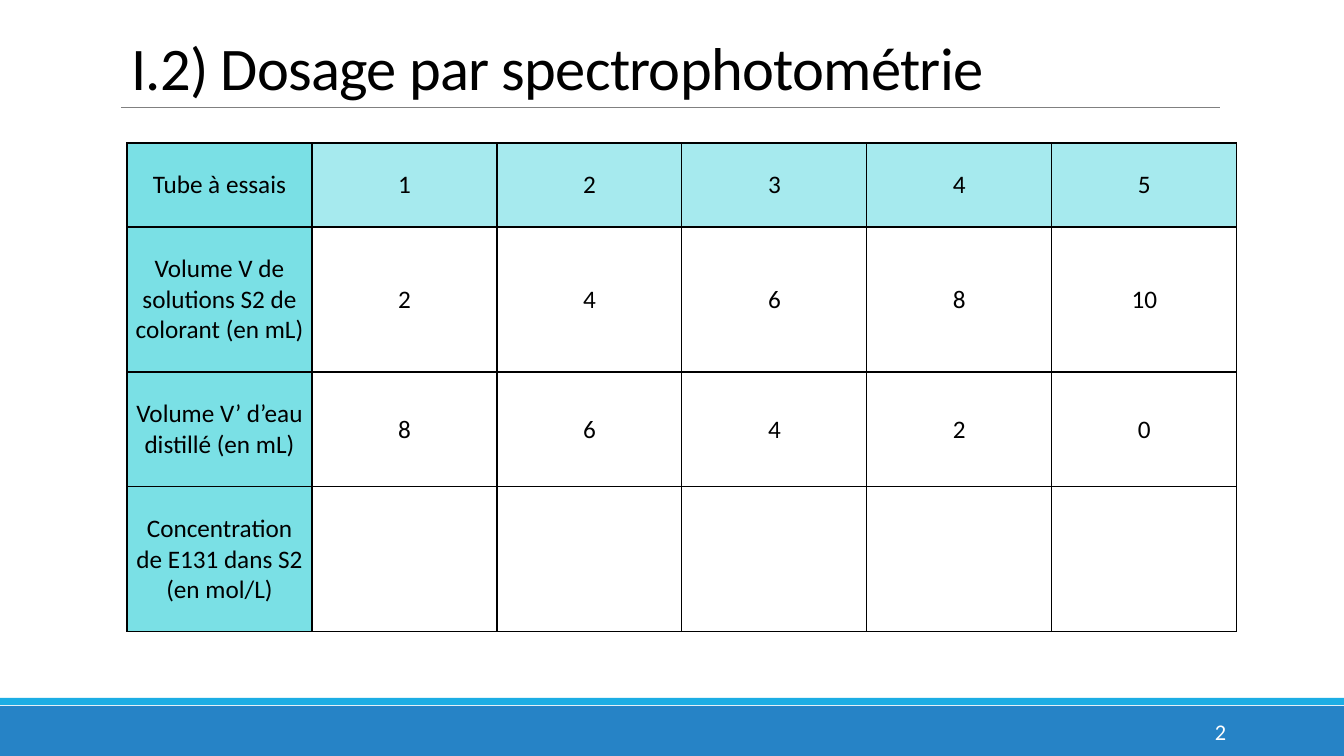
import pptx
import pptx.util
import pptx.dml.color
import pptx.enum.shapes
import pptx.enum.text
import pptx.oxml.ns
from lxml import etree

BLACK = pptx.dml.color.RGBColor(0x00, 0x00, 0x00)
WHITE = pptx.dml.color.RGBColor(0xFF, 0xFF, 0xFF)
GREY = pptx.dml.color.RGBColor(0x80, 0x80, 0x80)
FOOTER_BLUE = pptx.dml.color.RGBColor(0x26, 0x83, 0xC6)
FOOTER_CYAN = pptx.dml.color.RGBColor(0x1C, 0xAD, 0xE4)
LABEL_TEAL = pptx.dml.color.RGBColor(0x7A, 0xE0, 0xE5)
TUBE_TEAL = pptx.dml.color.RGBColor(0xA6, 0xEA, 0xEE)

FONT = "Calibri"
EMU_PER_PIXEL = 914400 / 100.8
SLIDE_WIDTH, SLIDE_HEIGHT = 1344, 756
ROW_HEIGHTS = [84, 145, 115, 145]
COLUMN_WIDTH = 185
CELL_MARGIN = 7
MEASURES = [
    ["Tube à essais", "1", "2", "3", "4", "5"],
    ["Volume V de solutions S2 de colorant (en mL)", "2", "4", "6", "8", "10"],
    ["Volume V’ d’eau distillé (en mL)", "8", "6", "4", "2", "0"],
    ["Concentration de E131 dans S2 (en mol/L)", "", "", "", "", ""],
]


def px(pixels):
    """Turn pixels into EMU."""
    return pptx.util.Emu(round(pixels * EMU_PER_PIXEL))


def box(left, top, width, height):
    """Return a position and size in EMU."""
    return px(left), px(top), px(width), px(height)


def format_text(frame, size, color, align, anchor):
    """Format every paragraph and run of a text frame."""
    frame.word_wrap = True
    frame.vertical_anchor = anchor
    for paragraph in frame.paragraphs:
        paragraph.alignment = align
        for run in paragraph.runs:
            run.font.name = FONT
            run.font.size = pptx.util.Pt(size)
            run.font.color.rgb = color


def add_band(slide, top, height, color):
    """Add a full-width footer band."""
    band = slide.shapes.add_shape(pptx.enum.shapes.MSO_SHAPE.RECTANGLE,
                                  *box(0, top, SLIDE_WIDTH, height))
    band.shadow.inherit = False
    band.fill.solid()
    band.fill.fore_color.rgb = color
    band.line.fill.background()


def add_rule(slide, left, right, y):
    """Add the thin rule under the title."""
    rule = slide.shapes.add_connector(pptx.enum.shapes.MSO_CONNECTOR.STRAIGHT,
                                      px(left), px(y), px(right), px(y))
    rule.line.color.rgb = GREY
    rule.line.width = pptx.util.Pt(0.5)
    etree.SubElement(rule.element.spPr, pptx.oxml.ns.qn("a:effectLst"))


def set_title(slide, text):
    """Fill and place the title placeholder."""
    title = slide.shapes.title
    title.left, title.top, title.width, title.height = box(121, 31, 1109, 77)
    frame = title.text_frame
    frame.text = text
    frame.auto_size = pptx.enum.text.MSO_AUTO_SIZE.NONE
    format_text(frame, 43.2, BLACK, pptx.enum.text.PP_ALIGN.LEFT,
                pptx.enum.text.MSO_ANCHOR.BOTTOM)
    paragraph = frame.paragraphs[0]
    paragraph.line_spacing = 0.85
    paragraph.runs[0].font._element.set("spc", "-50")


def add_page_number(slide, text):
    """Add the page number over the footer."""
    number = slide.shapes.add_textbox(*box(1092, 712, 144, 40))
    number.text_frame.text = text
    format_text(number.text_frame, 16, WHITE, pptx.enum.text.PP_ALIGN.RIGHT,
                pptx.enum.text.MSO_ANCHOR.MIDDLE)


def add_borders(cell):
    """Draw a black 1 pt border on all sides of a cell."""
    properties = cell._tc.get_or_add_tcPr()
    for side in ("a:lnL", "a:lnR", "a:lnT", "a:lnB"):
        border = etree.SubElement(properties, pptx.oxml.ns.qn(side),
                                  w=str(pptx.util.Pt(1)))
        fill = etree.SubElement(border, pptx.oxml.ns.qn("a:solidFill"))
        etree.SubElement(fill, pptx.oxml.ns.qn("a:srgbClr"), val=str(BLACK))


def format_cell(cell, text, fill_color):
    """Write a cell and set its borders, fill and margins."""
    cell.text_frame.text = text
    format_text(cell.text_frame, 18, BLACK, pptx.enum.text.PP_ALIGN.CENTER, None)
    cell.vertical_anchor = pptx.enum.text.MSO_ANCHOR.MIDDLE
    cell.margin_left = cell.margin_right = px(CELL_MARGIN)
    cell.margin_top = cell.margin_bottom = px(CELL_MARGIN)
    add_borders(cell)
    if fill_color is None:
        cell.fill.background()
    else:
        cell.fill.solid()
        cell.fill.fore_color.rgb = fill_color


def add_measures(slide, left, top):
    """Add the table of test tubes, with labels in its first column."""
    column_count = len(MEASURES[0])
    frame = slide.shapes.add_table(
        len(MEASURES), column_count,
        *box(left, top, COLUMN_WIDTH * column_count, sum(ROW_HEIGHTS)))
    table = frame.table
    table.first_row = table.horz_banding = False
    for column in table.columns:
        column.width = px(COLUMN_WIDTH)
    for row, height in zip(table.rows, ROW_HEIGHTS):
        row.height = px(height)
    for row_index, values in enumerate(MEASURES):
        for column_index, value in enumerate(values):
            if column_index == 0:
                color = LABEL_TEAL
            else:
                color = TUBE_TEAL if row_index == 0 else None
            format_cell(table.cell(row_index, column_index), value, color)


def main():
    """Build the slide and save it."""
    deck = pptx.Presentation()
    deck.slide_width, deck.slide_height = px(SLIDE_WIDTH), px(SLIDE_HEIGHT)
    slide = deck.slides.add_slide(deck.slide_layouts[5])
    add_band(slide, 706, 50, FOOTER_BLUE)
    add_band(slide, 698, 7, FOOTER_CYAN)
    add_rule(slide, 121, 1220, 107)
    set_title(slide, "I.2) Dosage par spectrophotométrie")
    add_page_number(slide, "2")
    add_measures(slide, 127, 143)
    deck.save("out.pptx")


main()
